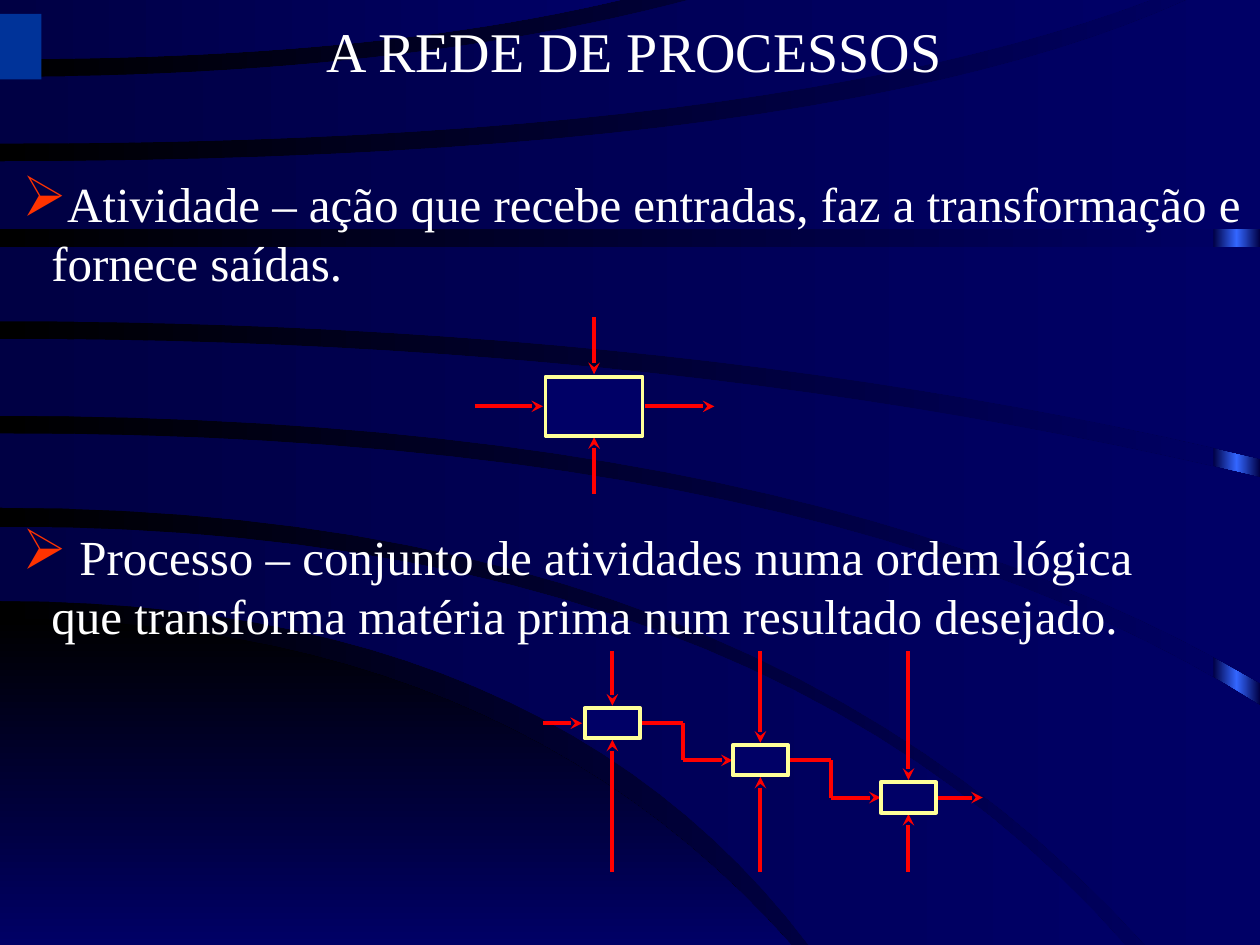
from copy import deepcopy

from pptx import Presentation
from pptx.dml.color import RGBColor
from pptx.enum.shapes import MSO_CONNECTOR, MSO_SHAPE
from pptx.enum.text import PP_ALIGN
from pptx.oxml.ns import qn
from pptx.util import Inches, Pt
from lxml import etree

RECT = MSO_SHAPE.RECTANGLE
STRAIGHT = MSO_CONNECTOR.STRAIGHT
CENTER = PP_ALIGN.CENTER

COLS, ROWS = 100, 75  # the slide is a grid of 0.1 inch cells
FONT = "Times New Roman"
COLORS = {
    "black": "000000", "navy": "000066", "dark": "000044", "glow": "3366FF",
    "block": "003399", "white": "FFFFFF", "bullet": "FF3300",
    "arrow": "FF0000", "border": "FFFF99",
}

# Each band has an upper edge, a lower edge and corners between their right ends.
# An edge is (left y, bend x, right x, right y).
BANDS = [
    ((41.8, 60, 89.3, ROWS), (47.7, 43.5, 64.2, ROWS), []),
    ((34.4, 66, COLS, 56), (40.3, 59.5, 90.9, ROWS), [(COLS, ROWS)]),
    ((26.9, 54, COLS, 37.9), (33, 64, COLS, 54.2), []),
    ((19.6, 50, COLS, 19.6), (25.5, 55, COLS, 36.4), []),
    ((12.8, 66, 94.2, 0), (18.2, 50, COLS, 18.2), [(COLS, 0)]),
    ((6.1, 31.6, 54.7, 0), (11.4, 61, 91.3, 0), []),
    ((0, 25, 49.2, 0), (4.7, 29.4, 49.2, 0), []),
]
HILL = (49.1, 39.8, 62.8, ROWS)


def cells(n):
    return Inches(n / 10)


def rgb(name):
    return RGBColor.from_string(COLORS[name])


def curve(left_y, bend_x, right_x, right_y, steps=24):
    """Points of a quadratic curve that leaves the left side of the slide level."""
    ts = [i / steps for i in range(steps + 1)]
    return [(2 * t * (1 - t) * bend_x + t * t * right_x,
             left_y + t * t * (right_y - left_y)) for t in ts]


def set_gradient(fill, first, last, angle=0):
    fill.gradient()
    fill.gradient_angle = angle
    for stop, name in zip(fill.gradient_stops, (first, last)):
        stop.color.rgb = rgb(name)


def add_outline(s, points):
    points = [(cells(x), cells(y)) for x, y in points]
    builder = s.shapes.build_freeform(*points[0], scale=1.0)
    builder.add_line_segments(points[1:], close=True)
    sp = builder.convert_to_shape()
    sp.shadow.inherit = False
    sp.line.fill.background()
    return sp


def add_box(s, x, y, w, h, fill="navy", border=None):
    sp = s.shapes.add_shape(RECT, cells(x), cells(y), cells(w), cells(h))
    sp.shadow.inherit = False
    sp.fill.solid()
    sp.fill.fore_color.rgb = rgb(fill)
    if border:
        sp.line.color.rgb = rgb(border)
        sp.line.width = Pt(2.25)
    else:
        sp.line.fill.background()
    return sp


def add_arrow(s, *points):
    """Join the points with straight lines; the last one gets the arrowhead."""
    for (x1, y1), (x2, y2) in zip(points, points[1:]):
        c = s.shapes.add_connector(STRAIGHT, cells(x1), cells(y1), cells(x2), cells(y2))
        c.line.color.rgb = rgb("arrow")
        c.line.width = Pt(2.25)
        etree.SubElement(c._element.spPr, qn("a:effectLst"))
    ln = c._element.spPr.find(qn("a:ln"))
    etree.SubElement(ln, qn("a:tailEnd"), type="stealth")


def add_text(s, x, y, w, h, text, size):
    tf = s.shapes.add_textbox(cells(x), cells(y), cells(w), cells(h)).text_frame
    tf.word_wrap = True
    p = tf.paragraphs[0]
    p.text = text
    p.font.name, p.font.size = FONT, Pt(size)
    p.font.color.rgb = rgb("white")
    return tf


def add_bullet_text(s, y, w, h, text):
    tf = add_text(s, 0.8, y, w, h, text, 28)
    tf.margin_right = 0
    pPr = tf.paragraphs[0]._p.get_or_add_pPr()
    pPr.set("marL", str(cells(2.3)))
    pPr.set("indent", str(cells(-2.3)))
    color = etree.Element(qn("a:buClr"))
    etree.SubElement(color, qn("a:srgbClr"), val=COLORS["bullet"])
    size = etree.Element(qn("a:buSzPct"), val="115000")
    char = etree.Element(qn("a:buChar"), char="➢")
    for i, el in enumerate((color, size, char)):
        pPr.insert(i, el)


def add_backdrop(s):
    set_gradient(s.background.fill, "black", "navy")
    strip = add_box(s, 96.3, 0, 3.7, ROWS)
    set_gradient(strip.fill, "dark", "dark")
    stops = strip._element.spPr.find(".//" + qn("a:gsLst"))
    stops.insert(1, deepcopy(stops[0]))
    stops[1].set("pos", "50000")
    strip.fill.gradient_stops[1].color.rgb = rgb("glow")
    hill = add_outline(s, [(0, ROWS)] + curve(*HILL))
    set_gradient(hill.fill, "black", "navy", 270)
    for upper, lower, corners in BANDS:
        band = add_outline(s, curve(*upper) + corners + curve(*lower)[::-1])
        set_gradient(band.fill, "dark", "navy")


def add_activity(s):
    x, y, w, h = 43.3, 29.9, 7.7, 4.7
    cx, cy = x + w / 2, y + h / 2
    add_arrow(s, (x - 5.6, cy), (x - 0.2, cy))
    add_arrow(s, (x + w + 0.2, cy), (x + w + 5.7, cy))
    add_arrow(s, (cx, y - 4.7), (cx, y - 0.2))
    add_arrow(s, (cx, y + h + 4.6), (cx, y + h + 0.1))
    add_box(s, x, y, w, h, border="border")


def add_process(s):
    w, h, dx, dy, count = 4.4, 2.4, 11.75, 2.95, 3
    for i in range(count):
        x, y = 46.4 + i * dx, 56.2 + i * dy
        cx, cy, right = x + w / 2, y + h / 2, x + w
        if i == 0:
            add_arrow(s, (x - 3.3, cy), (x - 0.2, cy))
        add_arrow(s, (cx, 51.7), (cx, y - 0.2))
        add_arrow(s, (cx, 69.2), (cx, y + h + 0.1))
        if i < count - 1:
            bend = right + 3.4
            add_arrow(s, (right, cy), (bend, cy), (bend, cy + dy), (x + dx, cy + dy))
        else:
            add_arrow(s, (right, cy), (right + 3.7, cy))
        add_box(s, x, y, w, h, border="border")


def main():
    prs = Presentation()
    prs.slide_width, prs.slide_height = cells(COLS), cells(ROWS)
    s = prs.slides.add_slide(prs.slide_layouts[6])
    add_backdrop(s)
    add_box(s, 0, 1.1, 3.3, 5.2, "block")
    title = add_text(s, 1.9, 0.8, 96.9, 6.4, "A REDE DE PROCESSOS", 32)
    title.paragraphs[0].alignment = CENTER
    add_bullet_text(s, 13.3, 99.2, 29.6, "Atividade – ação que recebe entradas, "
                    "faz a transformação e fornece saídas.")
    add_activity(s)
    add_process(s)
    add_bullet_text(s, 41.3, 90.8, 17.5, " Processo – conjunto de atividades numa ordem lógica "
                    "que transforma matéria prima num resultado desejado.")
    prs.save("out.pptx")


if __name__ == "__main__":
    main()
